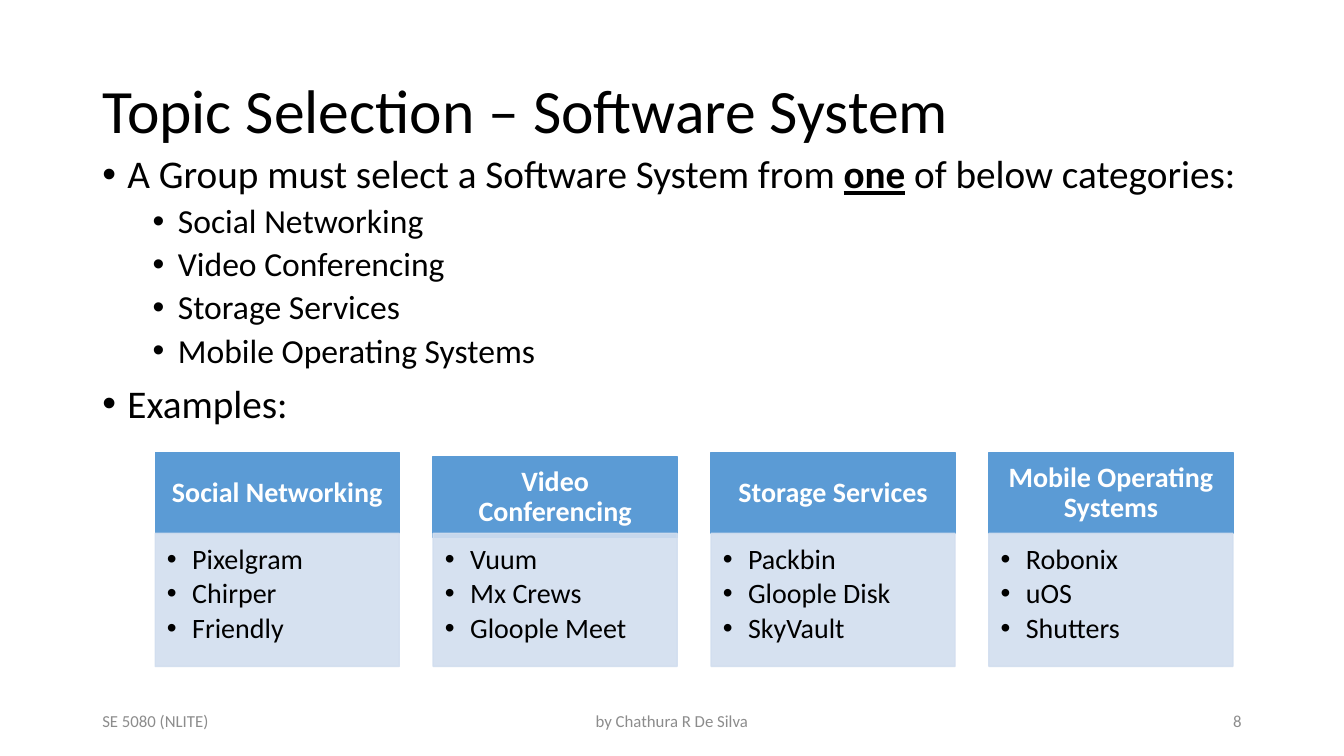
from dataclasses import dataclass

from lxml import etree
from pptx import Presentation
from pptx.dml.color import RGBColor
from pptx.enum.shapes import MSO_SHAPE
from pptx.enum.text import MSO_ANCHOR, MSO_AUTO_SIZE, PP_ALIGN
from pptx.oxml.ns import qn
from pptx.util import Pt

LEFT, CENTER, RIGHT = PP_ALIGN.LEFT, PP_ALIGN.CENTER, PP_ALIGN.RIGHT
TOP, MIDDLE = MSO_ANCHOR.TOP, MSO_ANCHOR.MIDDLE
RECTANGLE, NO_AUTOFIT = MSO_SHAPE.RECTANGLE, MSO_AUTO_SIZE.NONE

TITLE = "Topic Selection – Software System"
INTRO = ["A Group must select a Software System from ", "one", " of below categories:"]
EXAMPLES_LABEL = "Examples:"
# category, examples, how far the header sits below the others
CATEGORIES = [
    ("Social Networking", ["Pixelgram", "Chirper", "Friendly"], 0),
    ("Video Conferencing", ["Vuum", "Mx Crews", "Gloople Meet"], 2.9),
    ("Storage Services", ["Packbin", "Gloople Disk", "SkyVault"], 0),
    ("Mobile Operating Systems", ["Robonix", "uOS", "Shutters"], 0),
]
# text, left, width, alignment
FOOTERS = [
    ("SE 5080 (NLITE)", 66, 216, LEFT),
    ("by Chathura R De Silva", 318, 324, CENTER),
    ("8", 678, 216, RIGHT),
]


@dataclass(frozen=True)
class Theme:
    font: str = "Calibri"
    text: str = "000000"
    on_header: str = "FFFFFF"
    footer: str = "8C8C8C"
    header: str = "5B9BD5"
    panel: str = "D2DEEF"
    panel_opacity: int = 90
    title_size: int = 44
    body_size: int = 28
    sub_size: int = 24
    card_size: int = 20
    footer_size: int = 12


THEME = Theme()
MARGIN, CONTENT_W = 66, 828
CARD_X, CARD_W, CARD_STEP = 110.9, 174.3, 198.5
HEADER_Y, HEADER_H = 323.3, 57.9
PANEL_Y, PANEL_H = 381, 95
HEADER_INSETS = (11.2, 6.4, 11.2, 6.4)
PANEL_INSETS = (8.4, 8.4, 11.2, 12.6)


def setup_frame(tf, anchor=TOP, insets=(7.2, 3.6, 7.2, 3.6)):
    tf.word_wrap = True
    tf.auto_size = NO_AUTOFIT
    tf.vertical_anchor = anchor
    tf.margin_left, tf.margin_top, tf.margin_right, tf.margin_bottom = map(Pt, insets)
    return tf


def write(p, text, *, size, color=THEME.text, bold=False, emphasis=None,
          align=LEFT, spacing=0.9, before=0, after=0, bullet_indent=None):
    """Fill a paragraph; text is a string or a list of runs, emphasis the run to stress."""
    p.alignment, p.line_spacing = align, spacing
    p.space_before, p.space_after = Pt(before), Pt(after)
    for i, part in enumerate([text] if isinstance(text, str) else text):
        r = p.add_run()
        r.text = part
        r.font.name, r.font.size = THEME.font, Pt(size)
        r.font.color.rgb = RGBColor.from_string(color)
        r.font.bold = bold or i == emphasis
        r.font.underline = i == emphasis
    if bullet_indent is not None:
        pPr = p._p.get_or_add_pPr()
        pPr.set("marL", str(Pt(bullet_indent)))
        pPr.set("indent", str(-Pt(18)))
        etree.SubElement(pPr, qn("a:buFont")).set("typeface", "Arial")
        etree.SubElement(pPr, qn("a:buChar")).set("char", "•")


def write_list(tf, items):
    """Write (text, format) pairs, one paragraph each."""
    for i, (text, fmt) in enumerate(items):
        write(tf.add_paragraph() if i else tf.paragraphs[0], text, **fmt)


def add_textbox(s, x, y, w, h, anchor=TOP):
    return setup_frame(s.shapes.add_textbox(*map(Pt, (x, y, w, h))).text_frame, anchor)


def add_block(s, x, y, w, h, color, anchor, insets, opacity=100):
    sp = s.shapes.add_shape(RECTANGLE, *map(Pt, (x, y, w, h)))
    sp.shadow.inherit = False
    sp.fill.solid()
    sp.line.width = Pt(1)
    for paint in (sp.fill.fore_color, sp.line.color):
        paint.rgb = RGBColor.from_string(color)
    if opacity < 100:
        for clr in sp._element.spPr.iter(qn("a:srgbClr")):
            etree.SubElement(clr, qn("a:alpha")).set("val", str(opacity * 1000))
    return setup_frame(sp.text_frame, anchor, insets)


def add_title(s):
    title = s.shapes.title
    title.left, title.top, title.width, title.height = map(
        Pt, (MARGIN, 28.75, CONTENT_W, 104.4))
    tf = setup_frame(title.text_frame, MIDDLE)
    write(tf.paragraphs[0], TITLE, size=THEME.title_size)


def add_body(s):
    main = dict(size=THEME.body_size, before=10, bullet_indent=18)
    sub = dict(size=THEME.sub_size, before=5, bullet_indent=54)
    write_list(add_textbox(s, MARGIN, 107.25, CONTENT_W, 393), [
        (INTRO, dict(main, emphasis=1)),
        *((name, sub) for name, _, _ in CATEGORIES),
        (EXAMPLES_LABEL, main),
    ])


def add_cards(s):
    item = dict(size=THEME.card_size, after=3, bullet_indent=18)
    for i, (name, examples, drop) in enumerate(CATEGORIES):
        x = CARD_X + i * CARD_STEP
        header = add_block(s, x, HEADER_Y + drop, CARD_W, HEADER_H,
                           THEME.header, MIDDLE, HEADER_INSETS)
        write(header.paragraphs[0], name, size=THEME.card_size,
              color=THEME.on_header, bold=True, align=CENTER)
        panel = add_block(s, x, PANEL_Y, CARD_W, PANEL_H, THEME.panel, TOP,
                          PANEL_INSETS, THEME.panel_opacity)
        write_list(panel, [(example, item) for example in examples])


def add_footers(s):
    for text, x, w, align in FOOTERS:
        tf = add_textbox(s, x, 500.5, w, 28.75, MIDDLE)
        write(tf.paragraphs[0], text, size=THEME.footer_size,
              color=THEME.footer, align=align, spacing=1.0)


def main():
    prs = Presentation()
    prs.slide_width, prs.slide_height = Pt(960), Pt(540)
    s = prs.slides.add_slide(prs.slide_layouts.get_by_name("Title Only"))
    add_title(s)
    add_body(s)
    add_footers(s)
    add_cards(s)
    prs.save("out.pptx")


if __name__ == "__main__":
    main()
